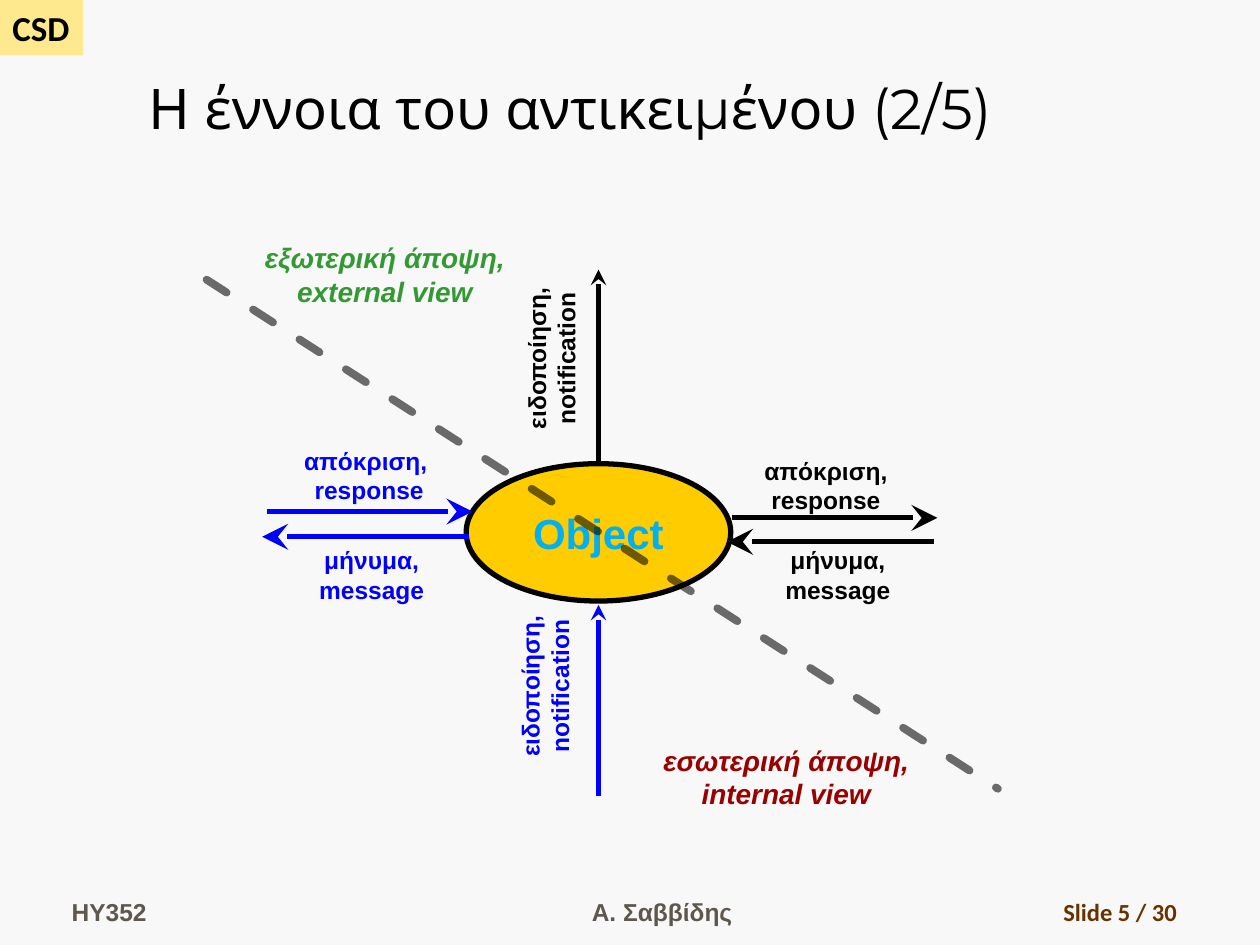
"""Build the slide about the external and internal view of an object."""
from dataclasses import dataclass
from typing import NamedTuple

from lxml import etree
from pptx import Presentation
from pptx.dml.color import RGBColor
from pptx.enum.dml import MSO_LINE
from pptx.enum.shapes import MSO_CONNECTOR, MSO_SHAPE
from pptx.enum.text import MSO_ANCHOR, PP_ALIGN
from pptx.oxml.ns import qn
from pptx.util import Inches, Pt

LEFT, MID, RIGHT = PP_ALIGN.LEFT, PP_ALIGN.CENTER, PP_ALIGN.RIGHT
TOP, CORE, LOW = MSO_ANCHOR.TOP, MSO_ANCHOR.MIDDLE, MSO_ANCHOR.BOTTOM
RECT, OVAL = MSO_SHAPE.RECTANGLE, MSO_SHAPE.OVAL
STRAIGHT, DASH = MSO_CONNECTOR.STRAIGHT, MSO_LINE.DASH
CELL = 0.1


@dataclass(frozen=True)
class Theme:
    """Colours, fonts and sizes of the slide."""
    paper: str = "F8F8F8"
    badge: str = "FFE98F"
    black: str = "000000"
    blue: str = "0000FF"
    gold: str = "FFCC00"
    sky: str = "00B0F0"
    red: str = "990000"
    green: str = "339933"
    grey: str = "5E574E"
    brown: str = "663300"
    sans: str = "Arial"
    plain: str = "Calibri"
    head: str = "Montserrat"
    small: int = 14
    view: int = 16
    tag: int = 20
    core: int = 24
    title: int = 32
    stroke: float = 3
    split: float = 4.5


class Box(NamedTuple):
    """Frame in grid columns and rows."""
    col: float
    row: float
    wide: float
    high: float


class Label(NamedTuple):
    """Two-line caption of the diagram."""
    box: Box
    words: str
    color: str
    turn: int = 0
    size: int = 14
    slant: bool = False


class Arrow(NamedTuple):
    """Arrow from start to tip, with the size of its head."""
    start: tuple[float, float]
    tip: tuple[float, float]
    color: str
    head: str = "lg"


class Foot(NamedTuple):
    """Part of the footer."""
    col: float
    wide: float
    words: str
    align: PP_ALIGN
    font: str
    color: str


LOOK = Theme()


def grid(*cells: float) -> list[int]:
    """Turn grid cells into slide lengths."""
    return [Inches(cell * CELL) for cell in cells]


def write(shape, words: str, *, size: int = LOOK.small, font: str = LOOK.sans,
          color: str = LOOK.black, bold: bool = True, slant: bool = False,
          align: PP_ALIGN = MID, anchor: MSO_ANCHOR = TOP, wrap: bool = False) -> None:
    """Put formatted text into a shape, one paragraph a line."""
    frame = shape.text_frame
    frame.word_wrap = wrap
    frame.vertical_anchor = anchor
    frame.text = words
    for para in frame.paragraphs:
        para.alignment = align
        for run in para.runs:
            face = run.font
            face.name, face.size, face.bold, face.italic = font, Pt(size), bold, slant
            face.color.rgb = RGBColor.from_string(color)


def note(slide, box: Box, words: str, turn: int = 0, **style) -> None:
    """Add a text box."""
    shape = slide.shapes.add_textbox(*grid(*box))
    shape.rotation = turn
    write(shape, words, **style)


def block(slide, kind: MSO_SHAPE, box: Box, fill: str, edge: str | None = None):
    """Add a filled shape, with an outline if an edge colour is given."""
    shape = slide.shapes.add_shape(kind, *grid(*box))
    shape.shadow.inherit = False
    shape.fill.solid()
    shape.fill.fore_color.rgb = RGBColor.from_string(fill)
    if edge:
        shape.line.color.rgb = RGBColor.from_string(edge)
        shape.line.width = Pt(LOOK.stroke)
    else:
        shape.line.fill.background()
    return shape


def stroke(slide, start: tuple[float, float], end: tuple[float, float],
           color: str, width: float):
    """Add a straight line without a shadow."""
    link = slide.shapes.add_connector(STRAIGHT, *grid(*start, *end))
    link.line.color.rgb = RGBColor.from_string(color)
    link.line.width = Pt(width)
    etree.SubElement(link._element.spPr, qn("a:effectLst"))
    return link


def point(slide, arrow: Arrow) -> None:
    """Add an arrow with a stealth head."""
    link = stroke(slide, arrow.start, arrow.tip, arrow.color, LOOK.stroke)
    etree.SubElement(link.line._get_or_add_ln(), qn("a:tailEnd"),
                     type="stealth", w=arrow.head, len=arrow.head)


def divide(slide, start: tuple[float, float], end: tuple[float, float]) -> None:
    """Add the translucent dashed line between both views."""
    link = stroke(slide, start, end, LOOK.black, LOOK.split)
    link.line.dash_style = DASH
    line = link.line._get_or_add_ln()
    line.set("cap", "rnd")
    etree.SubElement(line.find(".//" + qn("a:srgbClr")), qn("a:alpha"), val="56000")


REPLY, CALL = "απόκριση,\nresponse", "μήνυμα,\nmessage"
NEWS = "ειδοποίηση,\nnotification"
ARROWS = [
    Arrow((21.2, 40.6), (37.5, 40.6), LOOK.blue),
    Arrow((37.2, 42.6), (20.8, 42.6), LOOK.blue),
    Arrow((58.1, 41.1), (74.4, 41.1), LOOK.black),
    Arrow((74.1, 43), (57.7, 43), LOOK.black),
    Arrow((47.5, 36.6), (47.5, 21.4), LOOK.black, "med"),
    Arrow((47.5, 63.2), (47.5, 48), LOOK.blue, "med"),
]
LABELS = [
    Label(Box(24.3, 42.8, 10.4, 5.7), CALL, LOOK.blue),
    Label(Box(23.1, 34.9, 12.4, 5.7), REPLY.replace(",", ", "), LOOK.blue),
    Label(Box(36.6, 51.6, 13.3, 5.7), NEWS, LOOK.blue, 270),
    Label(Box(61.3, 42.8, 10.4, 5.7), CALL, LOOK.black),
    Label(Box(59.6, 35.7, 11.9, 5.7), REPLY, LOOK.black),
    Label(Box(37.1, 25.6, 13.3, 5.7), NEWS, LOOK.black, 270),
    Label(Box(51.5, 58.5, 21.8, 6.4), "εσωτερική άποψη,\ninternal view",
          LOOK.red, 0, LOOK.view, True),
    Label(Box(19.9, 18.6, 21.3, 6.4), "εξωτερική άποψη,\nexternal view",
          LOOK.green, 0, LOOK.view, True),
]
FEET = [
    Foot(4.7, 21.9, "HY352", LEFT, LOOK.sans, LOOK.grey),
    Foot(36.7, 31.7, "Α. Σαββίδης", MID, LOOK.sans, LOOK.grey),
    Foot(73.6, 20.8, "Slide 5 / 30", RIGHT, LOOK.plain, LOOK.brown),
]


def main() -> None:
    """Build and save the slide."""
    deck = Presentation()
    deck.slide_width, deck.slide_height = grid(100, 75)
    slide = deck.slides.add_slide(deck.slide_layouts[6])
    slide.background.fill.solid()
    slide.background.fill.fore_color.rgb = RGBColor.from_string(LOOK.paper)
    badge = block(slide, RECT, Box(0, 0, 6.6, 4.4), LOOK.badge)
    write(badge, "CSD", size=LOOK.tag, font=LOOK.plain, align=LEFT)
    for foot in FEET:
        note(slide, Box(foot.col, 69, foot.wide, 5), foot.words, font=foot.font,
             color=foot.color, align=foot.align, anchor=LOW, wrap=True)
    note(slide, Box(10.8, 1.7, 89.2, 10), "Η έννοια του αντικειμένου (2/5)",
         size=LOOK.title, font=LOOK.head, bold=False, align=LEFT, anchor=LOW, wrap=True)
    core = block(slide, OVAL, Box(37, 36.8, 21, 10.9), LOOK.gold, LOOK.black)
    write(core, "Object", size=LOOK.core, color=LOOK.sky, anchor=CORE)
    for arrow in ARROWS:
        point(slide, arrow)
    divide(slide, (16.4, 22.2), (79.2, 62.6))
    for label in LABELS:
        note(slide, label.box, label.words, label.turn, size=label.size,
             color=label.color, slant=label.slant)
    deck.save("out.pptx")


main()
